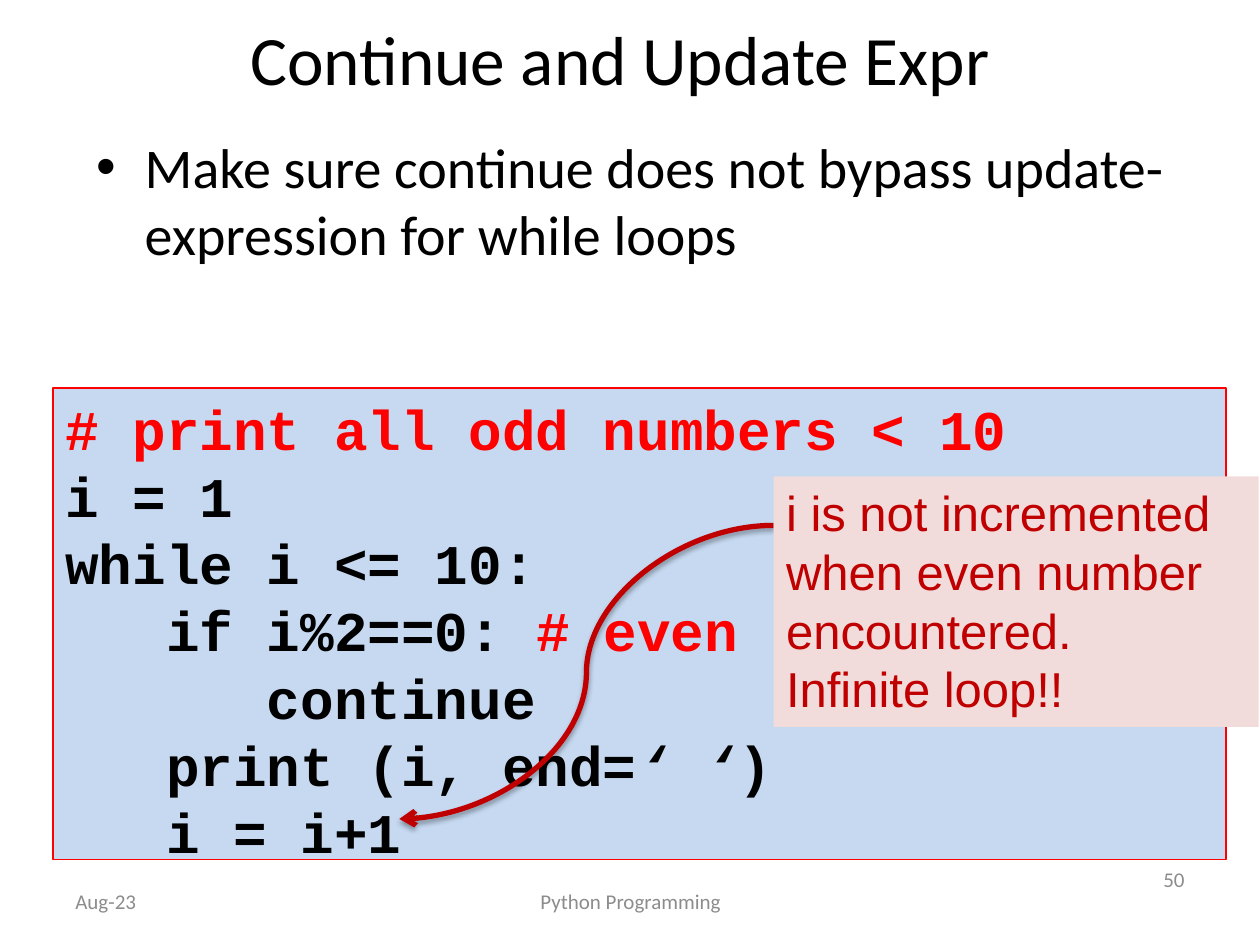
"""Build a slide warning that continue can skip a while loop's update."""
from lxml import etree
from pptx import Presentation, util as u
from pptx.dml.color import RGBColor
from pptx.enum import shapes, text
from pptx.oxml import ns, parse_xml

PX = 9144
BLACK, RED, DARK_RED, GREY = "000000", "FF0000", "C00000", "8C8C8C"
CODE = [
    [("# print all odd numbers < 10", RED, False)],
    [("i = 1", BLACK, False)],
    [("while i <= 10:", BLACK, False)],
    [("   if i%2==0: ", BLACK, False), ("# even", RED, False)],
    [("      continue", BLACK, False)],
    [("   print (i, end=", BLACK, False), ("‘ ‘", BLACK, True), (")", BLACK, False)],
    [("   i = i+1", BLACK, False)],
]
WARNING = ["i is not incremented", "when even number", "encountered.", "Infinite loop!!"]
ALIGN = text.PP_ALIGN
ANCHOR = text.MSO_ANCHOR


def px(*lengths):
    """Turn px into EMU."""
    return [length * PX for length in lengths]


def rgb(value):
    """Turn a hex string into a colour."""
    return RGBColor.from_string(value)


def add_run(paragraph, words, font, size, color, bold=False, italic=False):
    """Add one styled run."""
    run = paragraph.add_run()
    run.text = words
    run.font.name, run.font.size = font, u.Pt(size)
    run.font.bold, run.font.italic = bold, italic
    run.font.color.rgb = rgb(color)


def add_label(slide, box, words, size, color, align=ALIGN.LEFT, anchor=ANCHOR.MIDDLE):
    """Add a one-paragraph Calibri text box and return its paragraph."""
    frame = slide.shapes.add_textbox(*px(*box)).text_frame
    frame.word_wrap = True
    frame.vertical_anchor = anchor
    paragraph = frame.paragraphs[0]
    paragraph.alignment = align
    add_run(paragraph, words, "Calibri", size, color)
    return paragraph


def add_bullet(paragraph, indent):
    """Give a paragraph a hanging round bullet."""
    properties = paragraph._p.get_or_add_pPr()
    properties.set("marL", str(indent * PX))
    properties.set("indent", str(-indent * PX))
    etree.SubElement(properties, ns.qn("a:buFont")).set("typeface", "Arial")
    etree.SubElement(properties, ns.qn("a:buChar")).set("char", "•")


def add_panel(slide, box, fill, lines, font, size, bold=False, border=None, wrap=True):
    """Add a filled rectangle holding lines of (words, colour, italic) runs."""
    panel = slide.shapes.add_shape(shapes.MSO_SHAPE.RECTANGLE, *px(*box))
    panel.shadow.inherit = False
    panel.fill.solid()
    panel.fill.fore_color.rgb = rgb(fill)
    if border:
        panel.line.color.rgb = rgb(border)
        panel.line.width = u.Pt(0.75)
    else:
        panel.line.fill.background()
    frame = panel.text_frame
    frame.word_wrap = wrap
    frame.vertical_anchor = ANCHOR.TOP
    for index, line in enumerate(lines):
        paragraph = frame.add_paragraph() if index else frame.paragraphs[0]
        paragraph.alignment = ALIGN.LEFT
        for words, color, italic in line:
            add_run(paragraph, words, font, size, color, bold, italic)


def add_curved_arrow(slide, start, end, color, width):
    """Add a curved arrow with a soft shadow beneath it."""
    arrow = slide.shapes.add_connector(shapes.MSO_CONNECTOR.CURVE, *px(*start, *end))
    arrow.line.color.rgb = rgb(color)
    arrow.line.width = u.Pt(width)
    properties = arrow._element.spPr
    etree.SubElement(properties.find(ns.qn("a:ln")), ns.qn("a:tailEnd")).set("type", "arrow")
    properties.append(parse_xml(
        f'<a:effectLst {ns.nsdecls("a")}>'
        f'<a:outerShdw blurRad="{u.Pt(3.1)}" dist="{u.Pt(1.8)}" dir="5400000" rotWithShape="0">'
        '<a:srgbClr val="000000"><a:alpha val="35000"/></a:srgbClr>'
        '</a:outerShdw></a:effectLst>'))


def main():
    """Build and save the slide."""
    deck = Presentation()
    deck.slide_width, deck.slide_height = px(1000, 750)
    slide = deck.slides.add_slide(deck.slide_layouts[6])
    add_panel(slide, (42, 308, 931, 374), "C6D9F1", CODE, "Courier New", 32,
              bold=True, border=RED)
    add_label(slide, (67, 8, 850, 75), "Continue and Update Expr", 39.6, BLACK, ALIGN.CENTER)
    advice = add_label(
        slide, (67, 100, 875, 191),
        "Make sure continue does not bypass update-expression for while loops",
        32, BLACK, anchor=ANCHOR.TOP)
    add_bullet(advice, 38)
    add_label(slide, (50, 695, 233, 40), "Aug-23", 12, GREY)
    add_label(slide, (342, 695, 317, 40), "Python Programming", 12, GREY, ALIGN.CENTER)
    add_label(slide, (717, 678, 233, 40), "50", 12, GREY, ALIGN.RIGHT)
    add_curved_arrow(slide, (614, 417), (317, 650), DARK_RED, 3)
    add_panel(slide, (614, 378, 385, 199), "F2DCDB",
              [[(words, DARK_RED, False)] for words in WARNING], "Arial", 28, wrap=False)
    deck.save("out.pptx")


if __name__ == "__main__":
    main()
